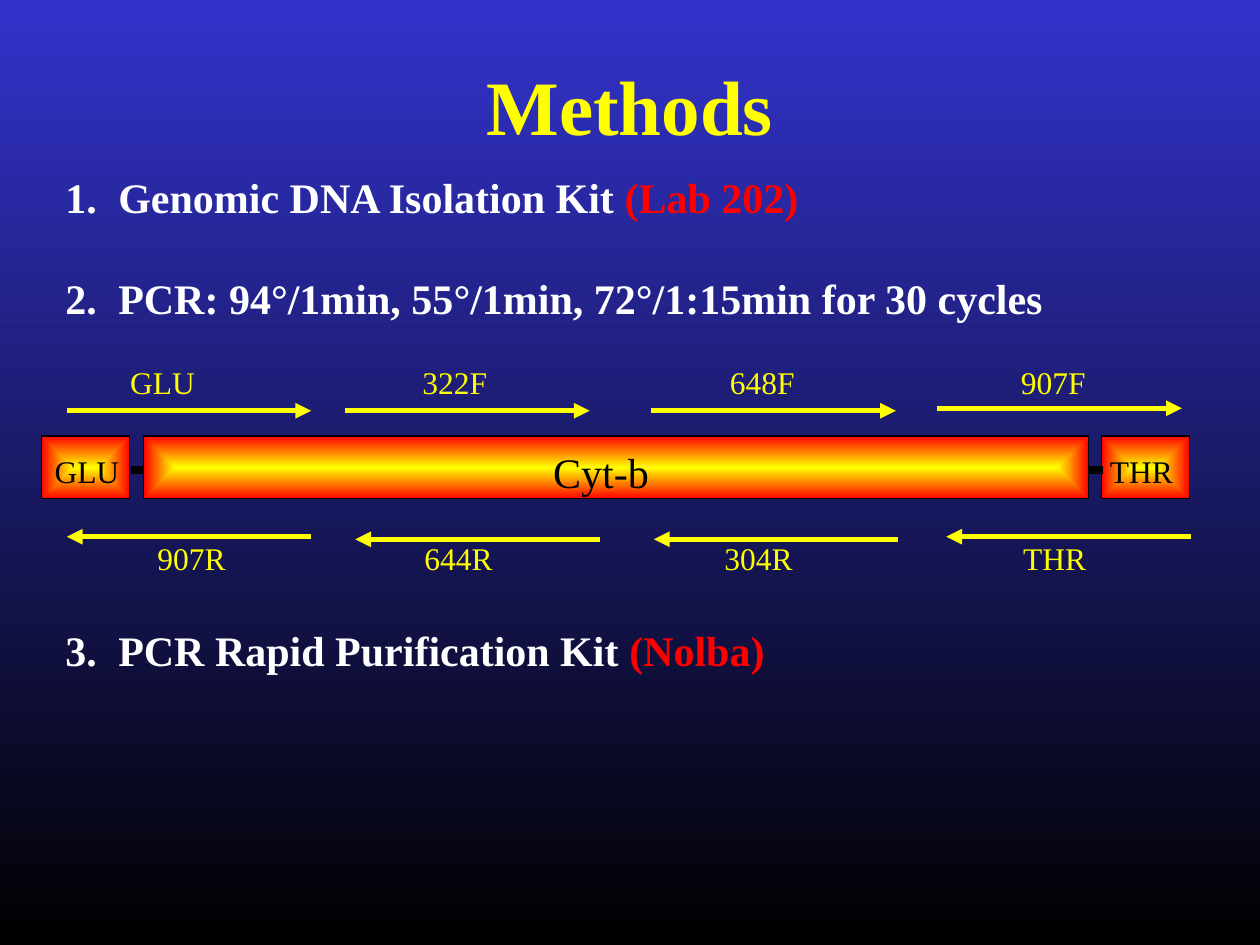
from collections import namedtuple

from lxml.etree import SubElement
from pptx import Presentation
from pptx.dml.color import RGBColor
from pptx.enum.shapes import MSO_CONNECTOR as CONN, MSO_SHAPE as SHAPE
from pptx.enum.text import MSO_ANCHOR as ANCHOR, PP_ALIGN as ALIGN
from pptx.oxml.ns import qn
from pptx.util import Inches, Pt

BLUE = RGBColor(0x33, 0x33, 0xCC)
BLACK = RGBColor(0, 0, 0)
WHITE = RGBColor(0xFF, 0xFF, 0xFF)
YELLOW = RGBColor(0xFF, 0xFF, 0)
RED = RGBColor(0xFF, 0, 0)
FONT = "Times New Roman"
COLS, ROWS = 100, 75  # square grid over the slide
LINE = 28.8  # points per text line of the list

Box = namedtuple("Box", "left top width height")

STEPS = [  # blank lines before, text, maker
    (0, "Genomic DNA Isolation Kit ", "(Lab 202)"),
    (1, "PCR: 94°/1min, 55°/1min, 72°/1:15min for 30 cycles", ""),
    (6, "PCR Rapid Purification Kit ", "(Nolba)"),
]
# primer name, label centre, arrow left, arrow row (relative to the map)
FORWARD = [("GLU", 9.6, 2, 4.3), ("322F", 32.8, 24.1, 4.3),
           ("648F", 57.2, 48.4, 4.3), ("907F", 80.3, 71.1, 4.1)]
REVERSE = [("907R", 11.9, 2, 14.3), ("644R", 33.1, 24.9, 14.5),
           ("304R", 56.9, 48.6, 14.5), ("THR", 80.4, 71.8, 14.3)]
# gene name, left, width, label centre, text size
GENES = [("Cyt-b", 8.1, 75, 44.4, 24), ("GLU", 0, 7, 3.6, 18),
         ("THR", 84.1, 7, 87.3, 18)]
ARROW_LENGTH = 19.4


def grid(*values):
    return [Inches(v * 10 / COLS) for v in values]


def add_run(p, text, size=18, color=YELLOW, bold=False):
    r = p.add_run()
    r.text = text
    r.font.name, r.font.size, r.font.bold = FONT, Pt(size), bold
    r.font.color.rgb = color


def add_text(slide, box, text="", align=ALIGN.CENTER, anchor=ANCHOR.MIDDLE,
             wrap=True, **style):
    tf = slide.shapes.add_textbox(*grid(*box)).text_frame
    tf.word_wrap, tf.vertical_anchor = wrap, anchor
    tf.paragraphs[0].alignment = align
    if text:
        add_run(tf.paragraphs[0], text, **style)
    return tf


def add_label(slide, cx, cy, text, **style):
    """Text centred on a grid point."""
    add_text(slide, Box(cx - 6, cy - 2.5, 12, 5), text, wrap=False, **style)


def add_line(shapes, x1, x2, y, color, width, arrow=False):
    line = shapes.add_connector(CONN.STRAIGHT, *grid(x1, y, x2, y))
    line.line.color.rgb, line.line.width = color, Pt(width)
    if arrow:
        SubElement(line.line._get_or_add_ln(), qn("a:tailEnd"), type="triangle")
    SubElement(line._element.spPr, qn("a:effectLst"))


def set_gradient(fill, first, last):
    fill.gradient()
    for stop, color in zip(fill.gradient_stops, (first, last)):
        stop.color.rgb = color


def add_gene_bar(shapes, box):
    sp = shapes.add_shape(SHAPE.RECTANGLE, *grid(*box))
    sp.shadow.inherit = False
    sp.line.color.rgb, sp.line.width = BLACK, Pt(0.75)
    set_gradient(sp.fill, YELLOW, RED)
    grad = sp._element.spPr.find(qn("a:gradFill"))
    grad.remove(grad.find(qn("a:lin")))
    rect = SubElement(grad, qn("a:path"), {"path": "rect"})
    SubElement(rect, qn("a:fillToRect"), dict.fromkeys("ltrb", "50000"))


def add_steps(slide, box):
    tf = add_text(slide, box, align=ALIGN.LEFT, anchor=ANCHOR.TOP)
    for i, (gap, text, maker) in enumerate(STEPS):
        p = tf.add_paragraph() if i else tf.paragraphs[0]
        p.line_spacing = Pt(LINE)
        if gap:
            p.space_before = Pt(gap * LINE)
        pPr = p._p.get_or_add_pPr()
        indent = Inches(0.42)
        pPr.set("marL", str(indent))
        pPr.set("indent", str(-indent))
        SubElement(pPr, qn("a:buFont"), typeface=FONT)
        SubElement(pPr, qn("a:buAutoNum"), type="arabicPeriod")
        add_run(p, text, size=24, color=WHITE, bold=True)
        if maker:
            add_run(p, maker, size=24, color=RED, bold=True)


def add_primers(slide, box, primers, label_row, reverse=False):
    for name, centre, left, row in primers:
        ends = [box.left + left, box.left + left + ARROW_LENGTH]
        if reverse:
            ends.reverse()
        add_line(slide.shapes, *ends, box.top + row, YELLOW, 3, arrow=True)
        add_label(slide, box.left + centre, box.top + label_row, name)


def add_gene_map(slide, box):
    shapes = slide.shapes.add_group_shape().shapes
    for _, left, width, _, _ in GENES:
        add_gene_bar(shapes, Box(box.left + left, box.top + 6.3, width, 5))
    for left, right in ((7.1, 8.1), (83.1, 84.2)):
        add_line(shapes, box.left + left, box.left + right, box.top + 9,
                 BLACK, 4.5)
    for name, _, _, centre, size in GENES:
        add_label(slide, box.left + centre, box.top + 9.1, name,
                  size=size, color=BLACK)
    add_primers(slide, box, FORWARD, label_row=2)
    add_primers(slide, box, REVERSE, label_row=16, reverse=True)


def main():
    prs = Presentation()
    prs.slide_width, prs.slide_height = grid(COLS, ROWS)
    slide = prs.slides.add_slide(prs.slide_layouts[6])
    fill = slide.background.fill
    set_gradient(fill, BLUE, BLACK)
    fill.gradient_angle = 270
    add_text(slide, Box(7.5, 3.1, 85, 10.4), "Methods", size=44, bold=True)
    add_steps(slide, Box(4.2, 13.1, 91.2, 41))
    add_gene_map(slide, Box(3.3, 28.3, 91.1, 18))
    prs.save("out.pptx")


if __name__ == "__main__":
    main()
